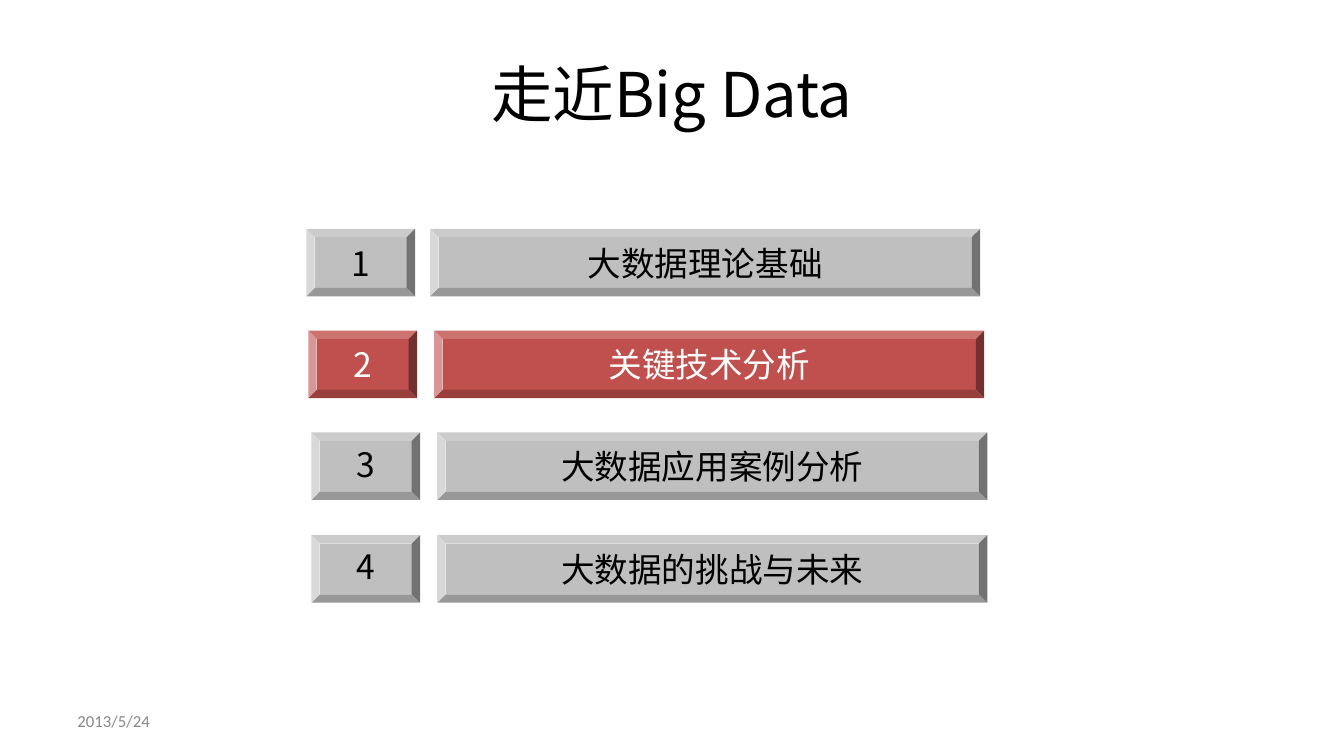
from dataclasses import dataclass
from lxml import etree
from pptx import Presentation
from pptx import util as u
from pptx.dml.color import RGBColor
from pptx.enum import shapes, text
from pptx.oxml import ns

PX = 9144


@dataclass
class Theme:
    cjk: str = "Noto Sans CJK SC"
    latin: str = "Calibri"
    ink: str = "000000"
    light: str = "FFFFFF"
    muted: str = "898989"
    plain: str = "BFBFBF"
    active: str = "C0504D"
    title: int = 44
    item: int = 24
    date: int = 12


theme = Theme()


def px(*lengths):
    return [u.Emu(length * PX) for length in lengths]


def write(box, words, size, color, font=theme.cjk, align=text.PP_ALIGN.CENTER, spacing=None, wrap=True):
    frame = box.text_frame
    frame.word_wrap = wrap
    frame.auto_size = text.MSO_AUTO_SIZE.NONE
    frame.vertical_anchor = text.MSO_ANCHOR.MIDDLE
    para = frame.paragraphs[0]
    para.alignment = align
    if spacing:
        para.line_spacing = spacing
    span = para.add_run()
    span.text = words
    span.font.size = u.Pt(size)
    span.font.color.rgb = RGBColor.from_string(color)
    span.font.name = font
    etree.SubElement(span.font._element, ns.qn("a:ea"), typeface=font)


deck = Presentation()
deck.slide_width, deck.slide_height = px(1334, 750)
page = deck.slides.add_slide(deck.slide_layouts[5])

title = page.shapes.title
title.left, title.top, title.width, title.height = px(67, 30, 1200, 125)
write(title, "走近Big Data", theme.title, theme.ink)

date = page.shapes.add_textbox(*px(67, 695, 311, 40))
write(date, "2013/5/24", theme.date, theme.muted, font=theme.latin, align=text.PP_ALIGN.LEFT)

agenda = [
    ("大数据理论基础", 427, 304, 227),
    ("关键技术分析", 431, 306, 328),
    ("大数据应用案例分析", 434, 309, 429),
    ("大数据的挑战与未来", 434, 309, 531),
]
current = 2

for number, (topic, topic_left, number_left, top) in enumerate(agenda, 1):
    fill, color = (theme.active, theme.light) if number == current else (theme.plain, theme.ink)
    tight = number > current
    parts = [
        (topic, topic_left, 546, {}),
        (str(number), number_left, 108, {"spacing": 0.9, "wrap": False} if tight else {}),
    ]
    for words, left, width, options in parts:
        bevel = page.shapes.add_shape(shapes.MSO_SHAPE.BEVEL, *px(left, top, width, 67))
        bevel.adjustments[0] = 0.125
        bevel.shadow.inherit = False
        bevel.fill.solid()
        bevel.fill.fore_color.rgb = RGBColor.from_string(fill)
        bevel.line.fill.background()
        write(bevel, words, theme.item, color, **options)

deck.save("out.pptx")
